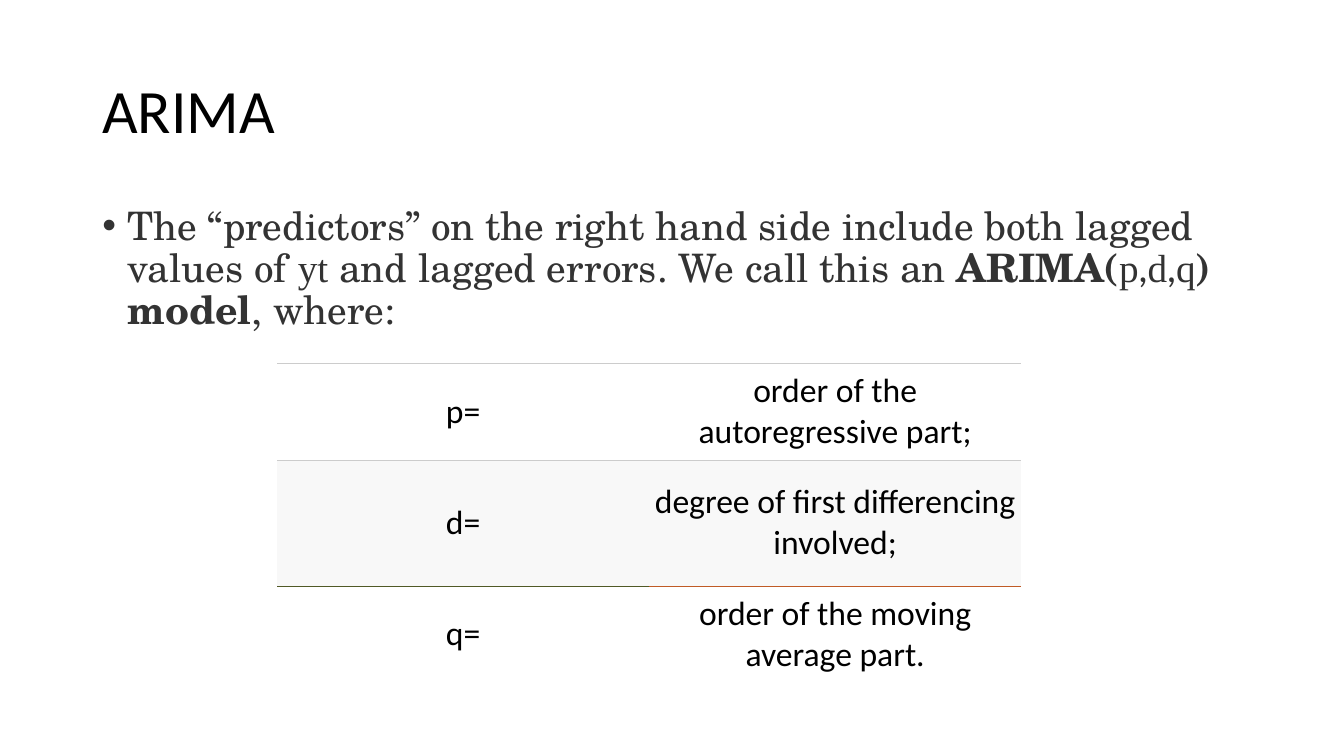
from lxml.etree import SubElement as Sub
from pptx import Presentation
from pptx.dml.color import RGBColor
from pptx.enum.text import MSO_ANCHOR as Anchor, PP_ALIGN as Align
from pptx.oxml import parse_xml
from pptx.oxml.ns import nsdecls, qn
from pptx.util import Pt

TITLE = "ARIMA"
SERIF, TIMES, LATO = "TeX Gyre Schola", "Times New Roman", "Lato"
BODY = [
    ("The “predictors” on the right hand side include both lagged values of ", SERIF, False),
    ("yt", TIMES, False),
    (" and lagged errors. We call this an ", SERIF, False),
    ("ARIMA(", SERIF, True),
    ("p", TIMES, False),
    (",", LATO, False),
    ("d", TIMES, False),
    (",", LATO, False),
    ("q", TIMES, False),
    (") model", SERIF, True),
    (", where:", SERIF, False),
]
GREY, GREEN, RUST = "CCCCCC", "505926", "C05B26"
ROWS = [
    (("p=", "order of the autoregressive part;"), 69, "FFFFFF", (GREY, GREY), (GREY, GREY)),
    (("d=", "degree of first differencing involved;"), 90, "F8F8F8", (GREY, GREY), (GREEN, RUST)),
    (("q=", "order of the moving average part."), 69, "FFFFFF", (GREEN, RUST), (None, None)),
]
LEFT, WIDE = 66, 828
GRID_X, GRID_Y, COL = 198, 259.5, 265.7


def rgb(code):
    return RGBColor.from_string(code)


def style(font, face, size, color):
    font.name, font.size = face, Pt(size)
    font.color.rgb = rgb(color)


def add_text(slide, top, high, anchor):
    frame = slide.shapes.add_textbox(Pt(LEFT), Pt(top), Pt(WIDE), Pt(high)).text_frame
    frame.word_wrap = True
    frame.vertical_anchor = anchor
    para = frame.paragraphs[0]
    para.line_spacing = 0.9
    return para


def add_bullet(para):
    props = para._p.get_or_add_pPr()
    props.set("marL", str(Pt(18)))
    props.set("indent", str(-Pt(18)))
    Sub(props, qn("a:buFont"), typeface="Arial")
    Sub(props, qn("a:buChar"), char="•")


def set_edges(cell, top, bottom):
    props = cell._tc.get_or_add_tcPr()
    edges = [("L", None), ("R", None), ("T", top), ("B", bottom)]
    for spot, (side, color) in enumerate(edges):
        fill = f'<a:solidFill><a:srgbClr val="{color}"/></a:solidFill>' if color else "<a:noFill/>"
        line = f'<a:ln{side} {nsdecls("a")} w="{Pt(0.6)}">{fill}</a:ln{side}>'
        props.insert(spot, parse_xml(line))


def fill_cell(cell, text, back, top, bottom):
    cell.fill.solid()
    cell.fill.fore_color.rgb = rgb(back)
    cell.vertical_anchor = Anchor.MIDDLE
    cell.margin_left = cell.margin_right = Pt(3)
    cell.margin_top = cell.margin_bottom = Pt(3.75)
    cell.text = text
    para = cell.text_frame.paragraphs[0]
    para.alignment = Align.CENTER
    style(para.font, "Calibri", 24, "000000")
    set_edges(cell, top, bottom)


def add_grid(slide):
    high = sum(row[1] for row in ROWS)
    grid = slide.shapes.add_table(
        len(ROWS), 2, Pt(GRID_X), Pt(GRID_Y), Pt(2 * COL), Pt(high)).table
    grid.first_row = grid.horz_banding = False
    for col in grid.columns:
        col.width = Pt(COL)
    for r, (texts, tall, back, tops, bottoms) in enumerate(ROWS):
        grid.rows[r].height = Pt(tall)
        for c, text in enumerate(texts):
            fill_cell(grid.cell(r, c), text, back, tops[c], bottoms[c])


def main():
    """Build the ARIMA slide."""
    deck = Presentation()
    deck.slide_width, deck.slide_height = Pt(960), Pt(540)
    slide = deck.slides.add_slide(deck.slide_layouts[6])

    title = add_text(slide, 28.75, 104.4, Anchor.MIDDLE)
    title.text = TITLE
    style(title.font, "Calibri", 44, "000000")

    body = add_text(slide, 143.75, 342.6, Anchor.TOP)
    body.space_before = Pt(10)
    add_bullet(body)
    style(body.font, SERIF, 28, "333333")
    for text, face, bold in BODY:
        run = body.add_run()
        run.text = text
        style(run.font, face, 28, "333333")
        run.font.bold = bold

    add_grid(slide)
    deck.save("out.pptx")


if __name__ == "__main__":
    main()
